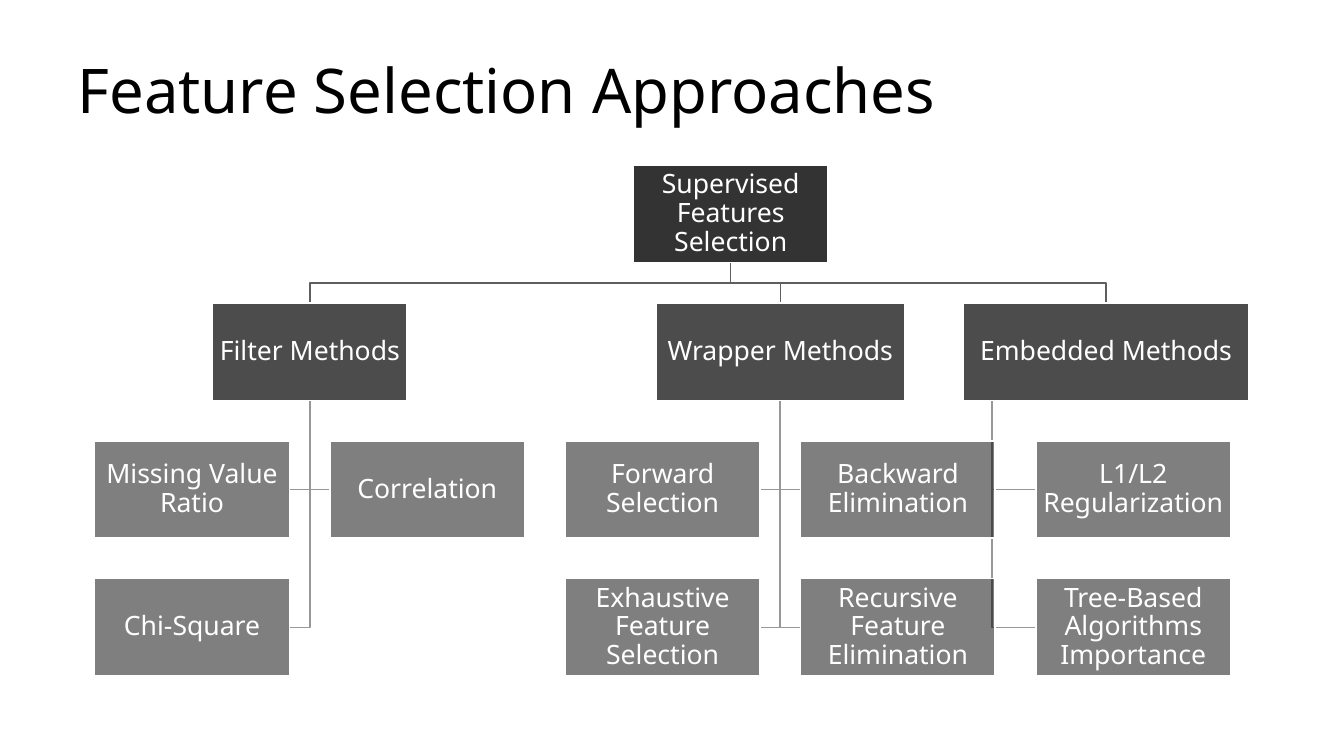
import lxml.etree
import pptx
import pptx.dml.color
import pptx.enum.text
import pptx.oxml.ns
import pptx.util

Cm = pptx.util.Cm
Pt = pptx.util.Pt
FONT = "Noto Sans"
COLORS = {"black": "000000", "white": "FFFFFF",
          "method line": "5E5E5E", "technique line": "979797"}
OPACITY = {"root": 80, "method": 70, "technique": 50}

BOX_WIDTH, BOX_HEIGHT = 4.9, 2.45
COLUMN_PITCH, ROW_PITCH = 5.93, 3.47

# Method, its box (left, width), trunk position, first column, rows of techniques.
# Boxes and trunks are measured from the left edge of the diagram.
BRANCHES = [
    ("Filter Methods", (2.97, 4.9), 5.42, 0,
     [["Missing Value Ratio", "Correlation"], ["Chi-Square"]]),
    ("Wrapper Methods", (14.14, 6.27), 17.27, 2,
     [["Forward Selection", "Backward Elimination"],
      ["Exhaustive Feature Selection", "Recursive Feature Elimination"]]),
    ("Embedded Methods", (21.89, 7.19), 22.61, 4,
     [["L1/L2 Regularization"], ["Tree-Based Algorithms Importance"]]),
]


def color(name):
    """Return the named colour as an RGBColor."""
    return pptx.dml.color.RGBColor.from_string(COLORS[name])


def apply(target, formats):
    """Set every attribute in the dict of format values."""
    for name, value in formats.items():
        setattr(target, name, value)


def write_text(shape, text, size, color_name, alignment, inset):
    """Put one formatted paragraph, centred vertically, into the shape."""
    frame = shape.text_frame
    frame.text = text
    margins = {f"margin_{side}": Cm(inset) for side in ("left", "top", "right", "bottom")}
    apply(frame, {"word_wrap": True,
                  "auto_size": pptx.enum.text.MSO_AUTO_SIZE.NONE,
                  "vertical_anchor": pptx.enum.text.MSO_ANCHOR.MIDDLE, **margins})
    paragraph = frame.paragraphs[0]
    apply(paragraph, {"alignment": alignment, "line_spacing": 0.9})
    apply(paragraph.runs[0].font, {"name": FONT, "size": Pt(size)})
    paragraph.runs[0].font.color.rgb = color(color_name)


def add_title(slide, text, left, top, width, height):
    """Place and format the title placeholder."""
    title = slide.shapes.title
    apply(title, {"left": Cm(left), "top": Cm(top),
                  "width": Cm(width), "height": Cm(height)})
    write_text(title, text, 44, "black", pptx.enum.text.PP_ALIGN.LEFT, 0.25)


def add_box(slide, text, level, left, top, width=BOX_WIDTH):
    """Add a translucent black box whose opacity shows its level."""
    box = slide.shapes.add_shape(pptx.enum.shapes.MSO_SHAPE.RECTANGLE,
                                 Cm(left), Cm(top), Cm(width), Cm(BOX_HEIGHT))
    box.shadow.inherit = False
    box.fill.solid()
    box.fill.fore_color.rgb = color("black")
    fill_color = box.fill._xPr.find(".//" + pptx.oxml.ns.qn("a:srgbClr"))
    lxml.etree.SubElement(fill_color, pptx.oxml.ns.qn("a:alpha"),
                          val=str(OPACITY[level] * 1000))
    box.line.color.rgb = color("white")
    box.line.width = Pt(1)
    write_text(box, text, 19, "white", pptx.enum.text.PP_ALIGN.CENTER, 0.03)


def add_elbow(slide, color_name, points):
    """Draw an open angled line through the points."""
    start, *others = [(Cm(x), Cm(y)) for x, y in points]
    builder = slide.shapes.build_freeform(*start)
    builder.add_line_segments(others, close=False)
    elbow = builder.convert_to_shape()
    elbow.shadow.inherit = False
    elbow.fill.background()
    elbow.line.color.rgb = color(color_name)
    elbow.line.width = Pt(1)


def add_hierarchy(slide, root_text, left, top):
    """Draw the tree from its top left corner: lines first, boxes above them."""
    first_box, last_box = BRANCHES[0][1], BRANCHES[-1][1]
    root_x = left + (first_box[0] + sum(last_box)) / 2
    root_bottom = top + BOX_HEIGHT
    method_top = top + ROW_PITCH
    middle = (root_bottom + method_top) / 2
    boxes = [(root_text, "root", root_x - BOX_WIDTH / 2, top)]

    for method, (box_left, box_width), trunk, first_column, rows in BRANCHES:
        method_x, trunk_x = left + box_left + box_width / 2, left + trunk
        add_elbow(slide, "method line", [(root_x, root_bottom), (root_x, middle),
                                         (method_x, middle), (method_x, method_top)])
        boxes.append((method, "method", left + box_left, method_top, box_width))
        for row, techniques in enumerate(rows, start=2):
            box_top = top + row * ROW_PITCH
            center_y = box_top + BOX_HEIGHT / 2
            for column, technique in enumerate(techniques, start=first_column):
                x = left + column * COLUMN_PITCH
                edge = x if x > trunk_x else x + BOX_WIDTH
                add_elbow(slide, "technique line",
                          [(trunk_x, method_top + BOX_HEIGHT),
                           (trunk_x, center_y), (edge, center_y)])
                boxes.append((technique, "technique", x, box_top))

    for box in boxes:
        add_box(slide, *box)


def main():
    """Build the slide and save it."""
    presentation = pptx.Presentation()
    apply(presentation, {"slide_width": Cm(33.87), "slide_height": Cm(19.05)})
    slide = presentation.slides.add_slide(presentation.slide_layouts[5])
    add_title(slide, "Feature Selection Approaches", 1.7, 0.76, 30.48, 3.18)
    add_hierarchy(slide, "Supervised Features Selection", 2.39, 4.17)
    presentation.save("out.pptx")


main()
